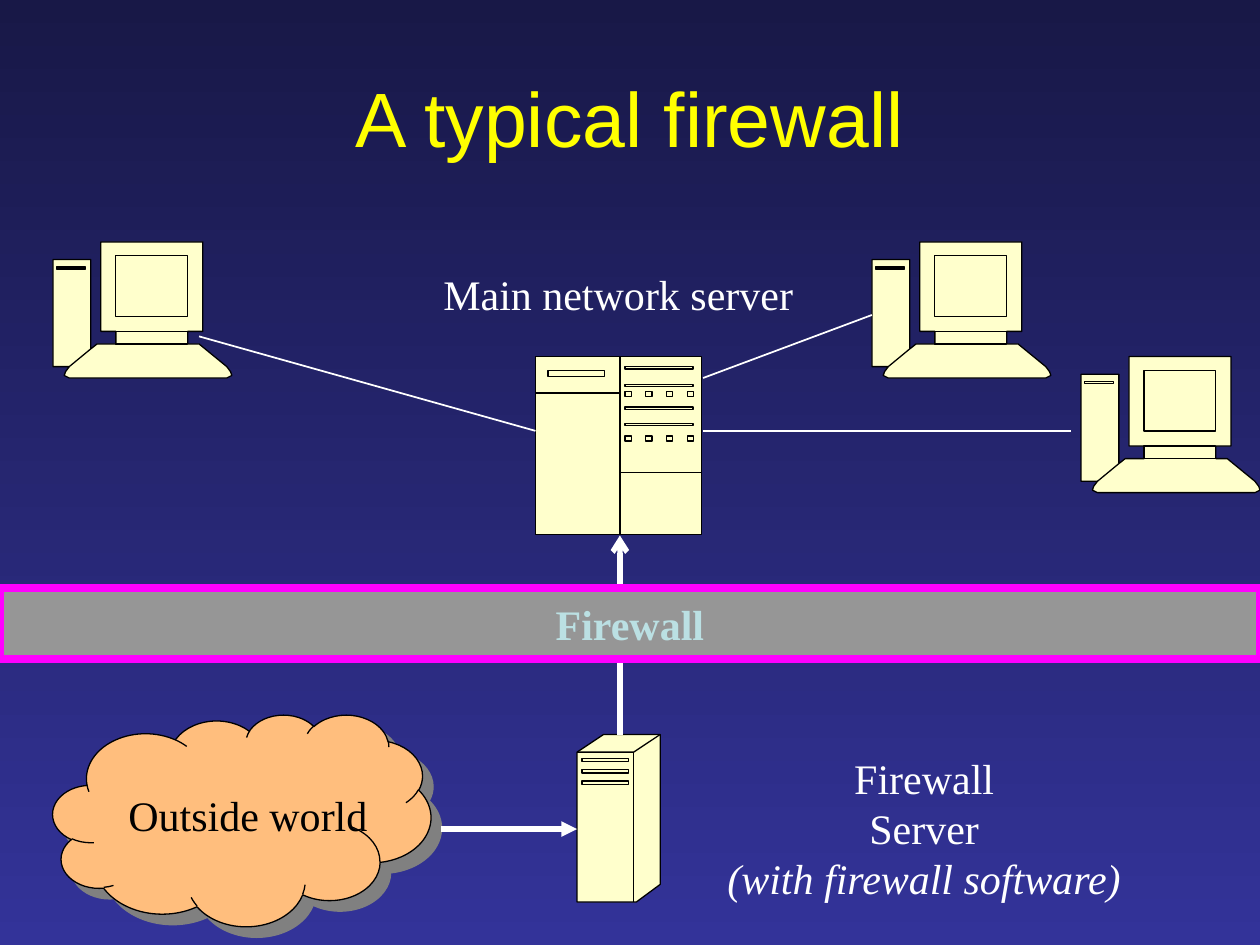
from lxml import etree
from pptx import Presentation
from pptx.dml.color import RGBColor
from pptx.enum.shapes import MSO_CONNECTOR, MSO_SHAPE
from pptx.enum.text import MSO_ANCHOR, PP_ALIGN
from pptx.oxml.ns import qn
from pptx.util import Cm, Pt

STRAIGHT = MSO_CONNECTOR.STRAIGHT
LEFT, CENTER, MIDDLE = PP_ALIGN.LEFT, PP_ALIGN.CENTER, MSO_ANCHOR.MIDDLE

NIGHT, BLUE = RGBColor(0x18, 0x18, 0x47), RGBColor(0x33, 0x33, 0x99)
YELLOW, CREAM = RGBColor(0xFF, 0xFF, 0x00), RGBColor(0xFF, 0xFF, 0xCC)
WHITE, BLACK = RGBColor(0xFF, 0xFF, 0xFF), RGBColor(0, 0, 0)
ORANGE, GRAY = RGBColor(0xFF, 0xBE, 0x7D), RGBColor(0x96, 0x96, 0x96)
MAGENTA, PALE = RGBColor(0xFF, 0x00, 0xFF), RGBColor(0xBB, 0xE0, 0xE3)
SERIF = "Times New Roman"


def inch(v):
    return Cm(v * 2.54)


def box(x, y, w, h):
    return [(x, y), (x + w, y), (x + w, y + h), (x, y + h), (x, y)]


# Content: positions in inches; drawings are (outline, inner lines)
TITLE = "A typical firewall"
SERVER_LABEL = (3.42, 2.08, 2.98, 0.5)
FIREWALL_LABEL = (5.66, 5.92, 3.35, 1.31)
FIREWALL_LINES = [("Firewall", False), ("Server", False),
                  ("(with firewall software)", True)]
BAND = (0, 4.67, 10, 0.56)
CLOUD = (0.42, 5.67, 3, 1.68)
CLOUD_LABEL = (0.92, 6.22, 2.1, 0.5)

MAIN_SERVER = (
    box(0, 0, 1.32, 1.41),
    [[(0.67, 0), (0.67, 1.41)], [(0, 0.29), (0.67, 0.29)],
     [(0.67, 0.92), (1.32, 0.92)], box(0.1, 0.11, 0.45, 0.05)]
    + [box(0.71, y, 0.54, 0.02) for y in (0.08, 0.22, 0.4, 0.53)]
    + [box(0.71 + 0.165 * i, y, 0.05, 0.04)
       for y in (0.28, 0.63) for i in range(4)])
FIREWALL_SERVER = (
    [(0, 0.14), (0.21, 0), (0.66, 0), (0.66, 1.19), (0.47, 1.33),
     (0, 1.33), (0, 0.14)],
    [[(0, 0.14), (0.45, 0.14), (0.66, 0)], [(0.45, 0.14), (0.45, 1.33)]]
    + [box(0.04, 0.19 + 0.09 * i, 0.37, 0.025) for i in range(3)])
COMPUTER = (
    [(0.3, 0.85), (0.35, 0.81), (0.5, 0.81), (0.5, 0.71), (0.38, 0.71),
     (0.38, 0), (1.19, 0), (1.19, 0.71), (1.07, 0.71), (1.07, 0.81),
     (1.16, 0.81), (1.38, 0.99), (1.41, 1.03), (1.42, 1.06), (1.38, 1.08),
     (0.13, 1.08), (0.09, 1.06), (0.1, 1.03), (0.13, 0.99), (0, 0.99),
     (0, 0.14), (0.3, 0.14), (0.3, 0.85)],
    [[(0.3, 0.85), (0.13, 0.99)], box(0.5, 0.11, 0.57, 0.48),
     box(0.03, 0.2, 0.23, 0.015), box(0.5, 0.71, 0.57, 0.1)])

DEVICES = [(MAIN_SERVER, 4.25, 2.83), (FIREWALL_SERVER, 4.58, 5.83),
           (COMPUTER, 6.92, 1.92), (COMPUTER, 0.42, 1.92),
           (COMPUTER, 8.58, 2.83)]
# Start, end, width, arrowhead
LINKS = [((4.92, 5.83), (4.92, 4.25), 3, "arrow"),
         ((3.5, 6.58), (4.58, 6.58), 3, "triangle"),
         ((5.58, 3), (6.92, 2.5), 1, None),
         ((5.58, 3.42), (8.5, 3.42), 1, None),
         ((4.25, 3.42), (1.58, 2.67), 1, None)]


def add_run(p, text, color, size=24, font=SERIF, bold=False, italic=False):
    r = p.add_run()
    r.text = text
    r.font.size, r.font.name = Pt(size), font
    r.font.bold, r.font.italic = bold, italic
    r.font.color.rgb = color


def add_label(shapes, at, lines, color, align, wrap):
    tf = shapes.add_textbox(*map(inch, at)).text_frame
    tf.word_wrap = wrap
    for i, (text, italic) in enumerate(lines):
        p = tf.add_paragraph() if i else tf.paragraphs[0]
        p.alignment = align
        add_run(p, text, color, italic=italic)


def paint(sp, fill, line, width):
    sp.shadow.inherit = False
    if fill is None:
        sp.fill.background()
    else:
        sp.fill.solid()
        sp.fill.fore_color.rgb = fill
    sp.line.color.rgb = line
    sp.line.width = Pt(width)


def add_drawing(shapes, lines, x, y, fill):
    placed = [[(inch(x + px), inch(y + py)) for px, py in line]
              for line in lines]
    fb = shapes.build_freeform(*placed[0][0])
    for i, line in enumerate(placed):
        if i:
            fb.move_to(*line[0])
        fb.add_line_segments(line[1:], close=fill is not None)
    paint(fb.convert_to_shape(), fill, BLACK, 0.75)


def add_link(shapes, start, end, width, head):
    cn = shapes.add_connector(STRAIGHT, *map(inch, start + end))
    cn.line.color.rgb = WHITE
    cn.line.width = Pt(width)
    if head:
        etree.SubElement(cn.line._get_or_add_ln(), qn("a:tailEnd"), type=head)
    etree.SubElement(cn._element.spPr, qn("a:effectLst"))


prs = Presentation()
prs.slide_width, prs.slide_height = inch(10), inch(7.5)
s = prs.slides.add_slide(prs.slide_layouts[5])

# Background
bg = s.background.fill
bg.gradient()
bg.gradient_angle = 270
for stop, color, pos in zip(bg.gradient_stops, (NIGHT, BLUE), (0, 1)):
    stop.color.rgb, stop.position = color, pos

# Title
title = s.shapes.title
title.left, title.top, title.width, title.height = map(
    inch, (0.5, 0.3, 9, 1.25))
tf = title.text_frame
tf.vertical_anchor = MIDDLE
tf.paragraphs[0].alignment = CENTER
add_run(tf.paragraphs[0], TITLE, YELLOW, 44, "Arial")

# Computers and servers
for (outline, details), x, y in DEVICES:
    group = s.shapes.add_group_shape()
    add_drawing(group.shapes, [outline], x, y, CREAM)
    add_drawing(group.shapes, details, x, y, None)

# Outside world, with an offset shadow
group = s.shapes.add_group_shape()
cloud = group.shapes.add_shape(MSO_SHAPE.CLOUD, *map(inch, CLOUD))
paint(cloud, ORANGE, BLACK, 0.75)
effects = cloud._element.spPr.find(qn("a:effectLst"))
shadow = etree.SubElement(effects, qn("a:outerShdw"), dist=str(Pt(8.5)),
                          dir="2700000", algn="ctr", rotWithShape="0")
etree.SubElement(shadow, qn("a:srgbClr"), val="808080")
add_label(group.shapes, CLOUD_LABEL, [("Outside world", False)],
          BLACK, LEFT, True)

# Server labels
add_label(s.shapes, FIREWALL_LABEL, FIREWALL_LINES, WHITE, CENTER, False)
add_label(s.shapes, SERVER_LABEL, [("Main network server", False)],
          WHITE, LEFT, False)

# Links, then the firewall band across them
for link in LINKS:
    add_link(s.shapes, *link)
band = s.shapes.add_shape(MSO_SHAPE.RECTANGLE, *map(inch, BAND))
paint(band, GRAY, MAGENTA, 4.5)
p = band.text_frame.paragraphs[0]
p.alignment = CENTER
add_run(p, "Firewall", PALE, bold=True)

prs.save("out.pptx")
